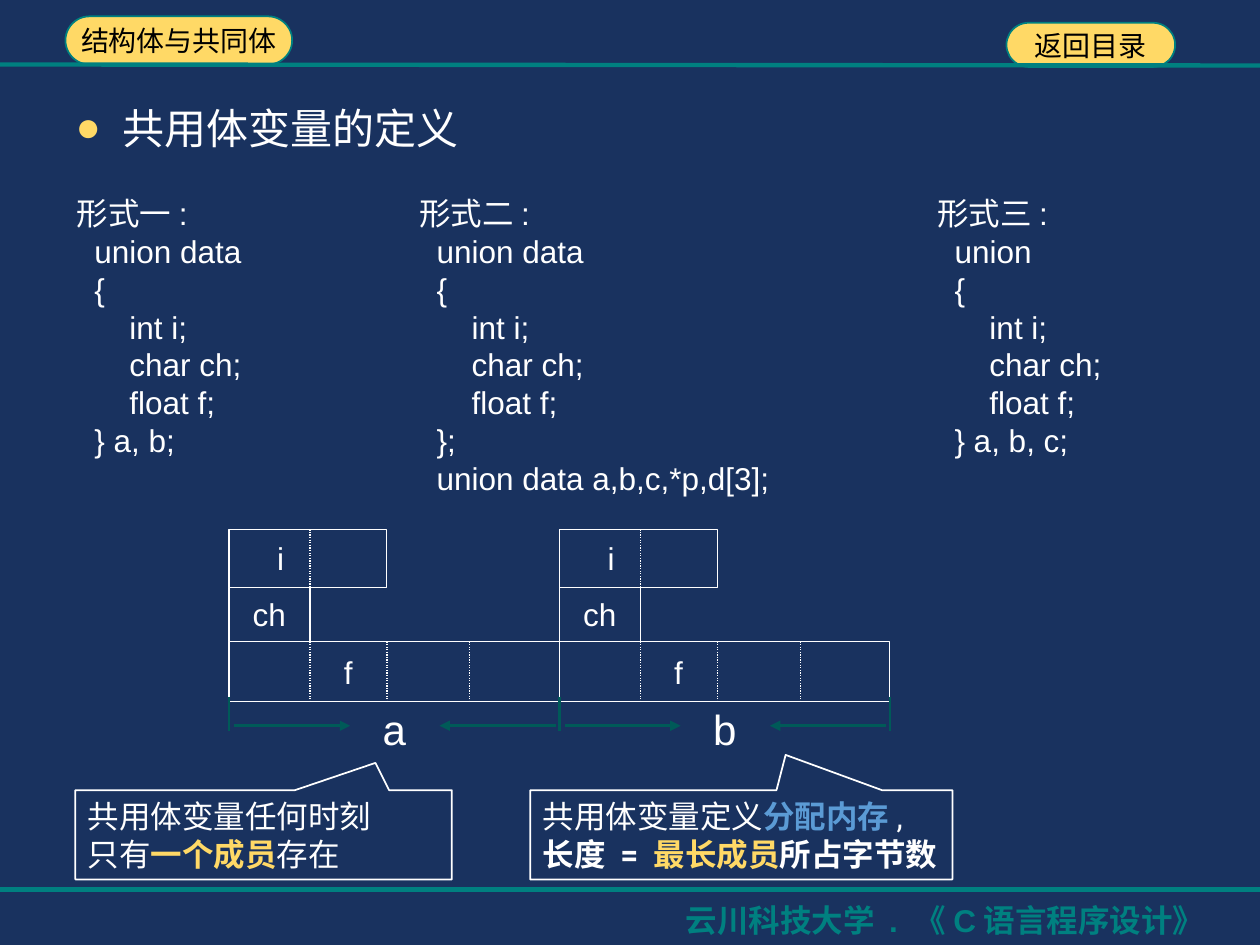
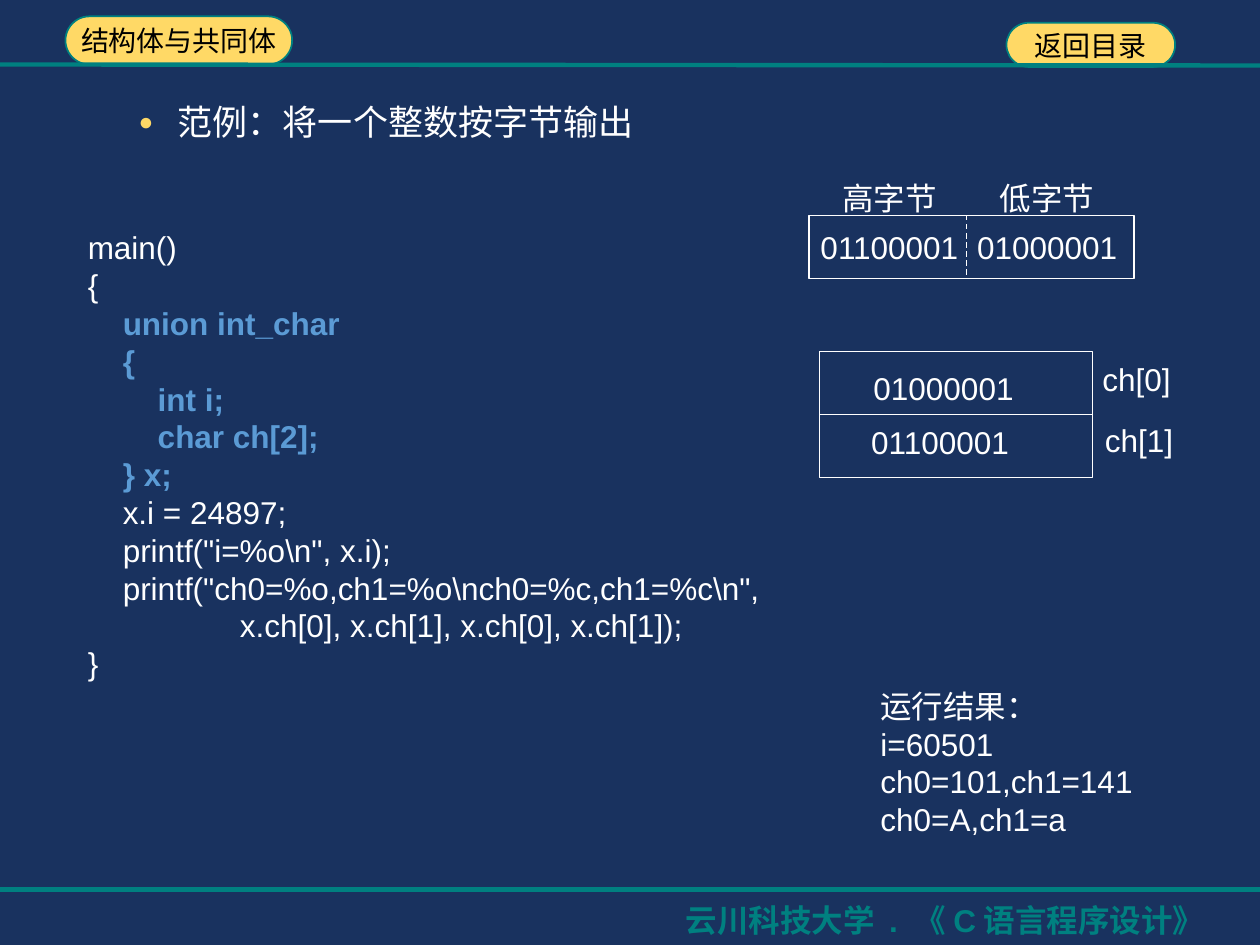
from dataclasses import dataclass

import lxml.etree
import pptx
import pptx.dml.color
import pptx.enum.dml
import pptx.enum.shapes
import pptx.enum.text
import pptx.oxml.ns
import pptx.util

Cm, Pt = pptx.util.Cm, pptx.util.Pt
qn = pptx.oxml.ns.qn
SHAPE = pptx.enum.shapes.MSO_SHAPE
DASH = pptx.enum.dml.MSO_LINE
ALIGN = pptx.enum.text.PP_ALIGN
ANCHOR = pptx.enum.text.MSO_ANCHOR


@dataclass(frozen=True)
class Theme:
    navy: str = "19325F"
    gold: str = "FFD966"
    teal: str = "008080"
    pine: str = "005A58"
    blue: str = "5B9BD5"
    white: str = "FFFFFF"
    black: str = "000000"
    font: str = "Arial"
    note: str = "Roboto"
    large: int = 24
    head: int = 20
    text: int = 18
    small: int = 16
    space: int = 5  # points taken by one blank of code


T = Theme()
WIDE, HIGH = 25.4, 19.05

# Shared parts
PILLS = [
    ("结构体与共同体", (1.32, 0.33, 4.57, 0.97)),
    ("返回目录", (20.29, 0.46, 3.4, 0.89)),
]
RULES = [(1.3, 1.32), (17.93, 17.93)]
FOOTER = "云川科技大学 . 《C语言程序设计》"

# Code lines are (blanks before the line, text)
FIELDS = [(6, "int i;"), (6, "char ch;"), (6, "float f;")]
FORMS = [
    ((1.3, 3.79, 5, 5.64),
     [(0, "形式一:"), (2, "union data"), (2, "{"), *FIELDS, (2, "} a, b;")]),
    ((8.2, 3.79, 8.2, 6.43),
     [(0, "形式二:"), (2, "union data"), (2, "{"), *FIELDS, (2, "};"),
      (2, "union data a,b,c,*p,d[3];")]),
    ((18.64, 3.79, 5, 5.64),
     [(0, "形式三:"), (2, "union"), (2, "{"), *FIELDS, (2, "} a, b, c;")]),
]

# Memory map: byte edges from the left of one variable
VARS = ["a", "b"]
EDGES = [0, 1.63, 3.18, 4.85, 6.66]
LEFT, SPAN = 4.62, EDGES[-1]
ROWS = [  # name, bytes, top, height, label centre
    ("i", 2, 10.67, 1.17, 1.04),
    ("ch", 1, 11.84, 1.09, 0.81),
    ("f", 4, 12.93, 1.22, 2.4),
]
NOTES = [
    ((10.69, 15.93, 8.51, 1.8), (0.105, -0.895), [
        [("共用体变量定义", T.white, False), ("分配内存", T.blue, True),
         (",", T.white, False)],
        [("长度 = ", T.white, True), ("最长成员", T.gold, True),
         ("所占字节数", T.white, True)],
    ]),
    ((1.52, 15.93, 7.59, 1.8), (0.297, -0.806), [
        [("共用体变量任何时刻", T.white, False)],
        [("只有", T.white, False), ("一个成员", T.gold, True),
         ("存在", T.white, False)],
    ]),
]

PROGRAM = [
    (0, "main()"), (0, "{"),
    (4, "union int_char"), (4, "{"), (8, "int i;"), (8, "char ch[2];"),
    (4, "} x;"),
    (4, "x.i = 24897;"),
    (4, r'printf("i=%o\n", x.i);'),
    (4, r'printf("ch0=%o,ch1=%o\nch0=%c,ch1=%c\n",'),
    (17.4, "x.ch[0], x.ch[1], x.ch[0], x.ch[1]);"),
    (0, "}"),
]
UNION = range(2, 7)  # program lines that stand out
RESULT = [(0, "运行结果："), (0, "i=60501"), (0, "ch0=101,ch1=141"),
          (0, "ch0=A,ch1=a")]
LOW, TOP = "01000001", "01100001"
MARKS = [  # text, centre
    ("高字节", 17.93, 3.99), ("低字节", 21.11, 3.99),
    (TOP, 17.93, 4.98), (LOW, 21.11, 4.98),
    (LOW, 19.02, 7.82), (TOP, 18.95, 8.91),
    ("ch[0]", 22.91, 7.64), ("ch[1]", 22.96, 8.86),
]


def rgb(code):
    return pptx.dml.color.RGBColor.from_string(code)


def style(font, color, size=T.text, bold=False, face=T.font):
    font.name, font.size, font.bold = face, Pt(size), bold
    font.color.rgb = rgb(color)


def shape(slide, kind, box, line, width=0.75, fill=None):
    item = slide.shapes.add_shape(kind, *map(Cm, box))
    item.shadow.inherit = False
    item.line.color.rgb = rgb(line)
    item.line.width = Pt(width)
    if fill:
        item.fill.solid()
        item.fill.fore_color.rgb = rgb(fill)
    else:
        item.fill.background()
    return item


def line(slide, start, end, color=T.white, width=0.75, dash=None, arrow=False):
    item = slide.shapes.add_connector(
        pptx.enum.shapes.MSO_CONNECTOR.STRAIGHT, *map(Cm, start + end))
    item.line.color.rgb = rgb(color)
    item.line.width = Pt(width)
    if dash:
        item.line.dash_style = dash
    if arrow:
        stroke = item._element.spPr.find(qn("a:ln"))
        lxml.etree.SubElement(stroke, qn("a:tailEnd")).set("type", "triangle")
    lxml.etree.SubElement(item._element.spPr, qn("a:effectLst"))
    return item


def indent(para, left, first=0):
    props = para._p.get_or_add_pPr()
    props.set("marL", str(int(left)))
    props.set("indent", str(int(first)))
    return props


def block(slide, box, lines, bold=()):
    """Code lines in one text box; those numbered in bold are blue."""
    frame = slide.shapes.add_textbox(*map(Cm, box)).text_frame
    frame.word_wrap = True
    for num, (blanks, text) in enumerate(lines):
        para = frame.add_paragraph() if num else frame.paragraphs[0]
        para.text = text
        indent(para, Pt(blanks * T.space))
        hot = num in bold
        style(para.font, T.blue if hot else T.white, bold=hot)


def label(slide, text, x, y, size=T.text):
    """One line of text centred on a point."""
    wide, high = 3.6, 1
    frame = slide.shapes.add_textbox(
        Cm(x - wide / 2), Cm(y - high / 2), Cm(wide), Cm(high)).text_frame
    frame.word_wrap = False
    frame.vertical_anchor = ANCHOR.MIDDLE
    para = frame.paragraphs[0]
    para.text, para.alignment = text, ALIGN.CENTER
    style(para.font, T.white, size)


def title(slide, text, high, left, hang, size, dot=100):
    item = slide.shapes.title
    item.left, item.top, item.width, item.height = map(
        Cm, (1.27, 1.73, 22.86, high))
    frame = item.text_frame
    frame.auto_size = pptx.enum.text.MSO_AUTO_SIZE.NONE
    frame.vertical_anchor = ANCHOR.TOP
    para = frame.paragraphs[0]
    para.text = text
    props = indent(para, Cm(left), -Cm(hang))
    tint = lxml.etree.SubElement(props, qn("a:buClr"))
    lxml.etree.SubElement(tint, qn("a:srgbClr")).set("val", T.gold)
    for tag, key, val in [("a:buSzPct", "val", str(dot * 1000)),
                          ("a:buFont", "typeface", T.font),
                          ("a:buChar", "char", "●")]:
        lxml.etree.SubElement(props, qn(tag)).set(key, val)
    para.alignment, para.line_spacing = ALIGN.LEFT, 1.2
    style(para.font, T.white, size)


def frame_slide(deck):
    """New slide with the shared pills, rules and footer."""
    slide = deck.slides.add_slide(deck.slide_layouts.get_by_name("Title Only"))
    for text, box in PILLS:
        pill = shape(slide, SHAPE.ROUNDED_RECTANGLE, box, T.teal, 1, T.gold)
        pill.adjustments[0] = 0.5
        pill.text_frame.word_wrap = False
        para = pill.text_frame.paragraphs[0]
        para.text, para.alignment = text, ALIGN.CENTER
        style(para.font, T.black, T.small)
    for start, end in RULES:
        line(slide, (0, start), (WIDE, end), T.teal, 2.5)
    foot = slide.shapes.add_textbox(*map(Cm, (12.7, 18.03, 12.7, 1.02)))
    foot.text_frame.word_wrap = True
    para = foot.text_frame.paragraphs[0]
    para.text = FOOTER
    indent(para, Cm(0.87))
    style(para.font, T.teal, bold=True)
    return slide


def memory(slide, name, left):
    """Overlapping members of one union variable, with its span below."""
    for text, count, top, high, mid in ROWS:
        shape(slide, SHAPE.RECTANGLE, (left, top, EDGES[count], high), T.white)
        for edge in EDGES[1:count]:
            line(slide, (left + edge, top), (left + edge, top + high),
                 dash=DASH.ROUND_DOT)
        label(slide, text, left + mid, top + high / 2)
    for start, end in [(0.1, 2.44), (6.58, 4.24)]:
        line(slide, (left + start, 14.63), (left + end, 14.63),
             T.pine, 1.5, arrow=True)
    label(slide, name, left + SPAN / 2, 14.7, T.large)


def note(slide, box, tip, lines):
    item = shape(slide, SHAPE.RECTANGULAR_CALLOUT, box, T.white, 1)
    item.adjustments[0], item.adjustments[1] = tip
    frame = item.text_frame
    frame.word_wrap = True
    frame.margin_right = 0
    frame.vertical_anchor = ANCHOR.MIDDLE
    for num, parts in enumerate(lines):
        para = frame.add_paragraph() if num else frame.paragraphs[0]
        para.alignment = ALIGN.LEFT
        style(para.font, T.white, face=T.note)
        for text, color, bold in parts:
            run = para.add_run()
            run.text = text
            style(run.font, color, bold=bold, face=T.note)


def forms_slide(deck):
    slide = frame_slide(deck)
    title(slide, "共用体变量的定义", 1.4, 0.95, 0.95, T.large)
    for box, lines in FORMS:
        block(slide, box, lines)
    for num, name in enumerate(VARS):
        memory(slide, name, LEFT + num * SPAN)
    for num in range(len(VARS) + 1):
        x = LEFT + num * SPAN
        line(slide, (x, 14.05), (x, 14.73), T.pine, 1.5)
    for box, tip, lines in NOTES:
        note(slide, box, tip, lines)


def bytes_slide(deck):
    slide = frame_slide(deck)
    title(slide, "范例：将一个整数按字节输出", 1.19, 2.06, 0.79, T.head, 70)
    shape(slide, SHAPE.RECTANGLE, (16.31, 4.34, 6.55, 1.27), T.white)
    line(slide, (19.48, 4.34), (19.48, 5.61), dash=DASH.DASH)
    pair = shape(slide, SHAPE.RECTANGLE, (16.52, 7.09, 5.51, 2.54), T.white)
    split = line(slide, (16.52, 8.36), (22.03, 8.36))
    split.begin_connect(pair, 1)
    split.end_connect(pair, 3)
    for text, x, y in MARKS:
        label(slide, text, x, y)
    block(slide, (17.5, 13.72, 6.2, 3.33), RESULT)
    block(slide, (1.52, 4.48, 15, 9.5), PROGRAM, UNION)


def main():
    deck = pptx.Presentation()
    deck.slide_width, deck.slide_height = Cm(WIDE), Cm(HIGH)
    fill = deck.slide_master.background.fill
    fill.solid()
    fill.fore_color.rgb = rgb(T.navy)
    forms_slide(deck)
    bytes_slide(deck)
    deck.save("out.pptx")


if __name__ == "__main__":
    main()
